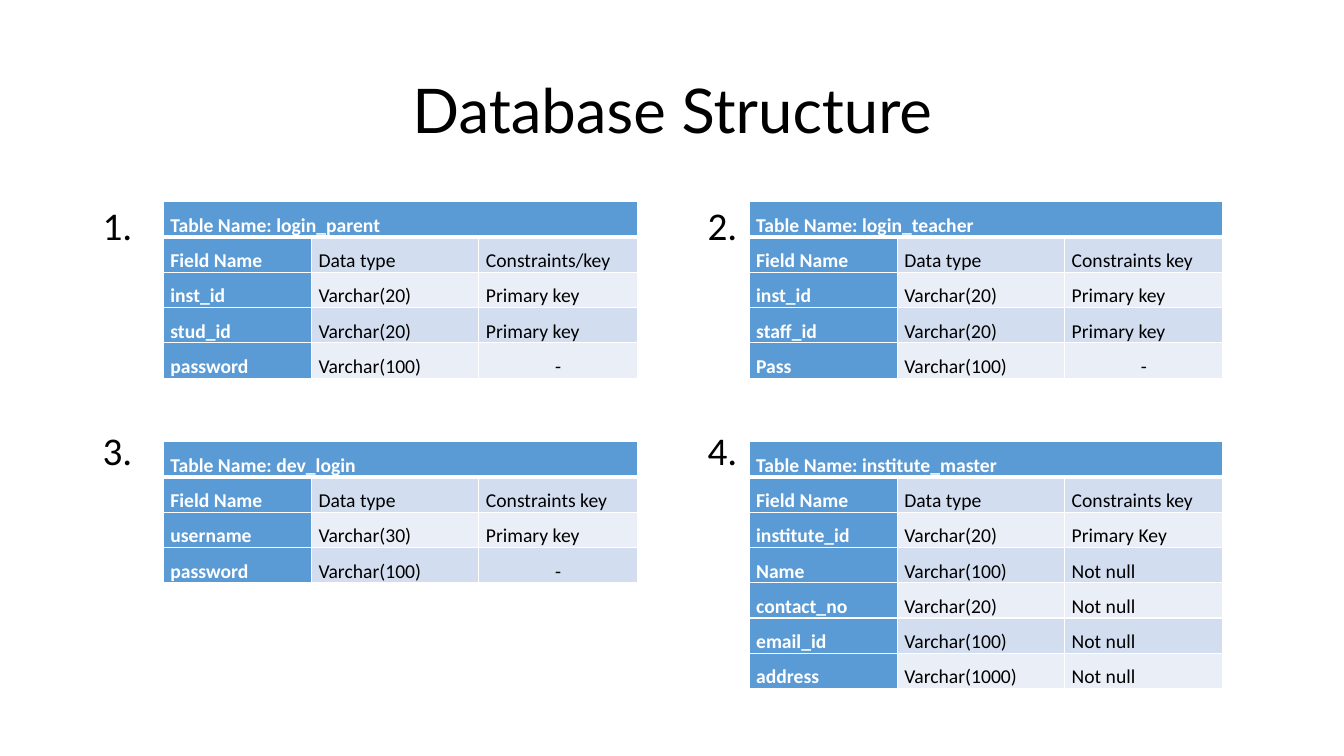
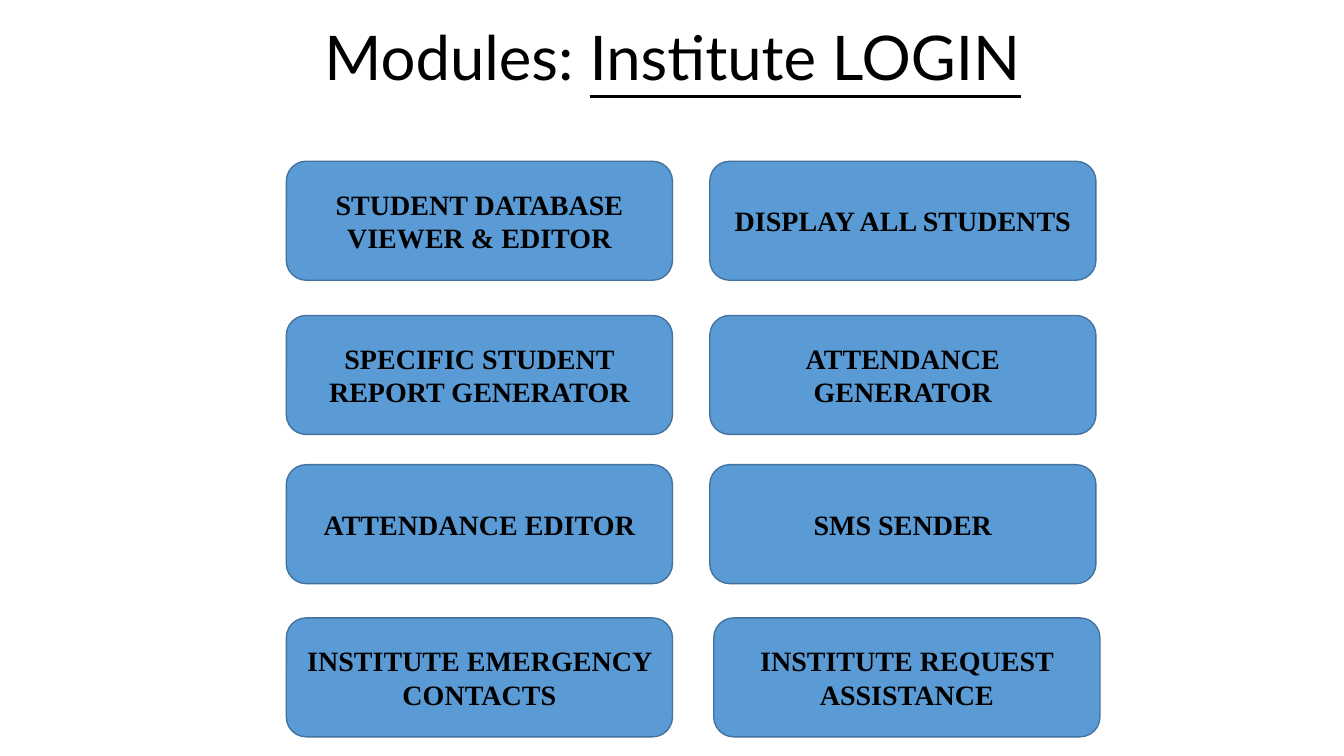
from dataclasses import dataclass

import lxml.etree
import pptx
import pptx.dml.color
import pptx.enum.shapes
import pptx.enum.text
import pptx.oxml.ns
import pptx.presentation
import pptx.slide
import pptx.table
import pptx.text.text
import pptx.util

Inches = pptx.util.Inches
Pt = pptx.util.Pt
RGBColor = pptx.dml.color.RGBColor
Align = pptx.enum.text.PP_ALIGN
Anchor = pptx.enum.text.MSO_ANCHOR

BLACK = RGBColor(0x00, 0x00, 0x00)
WHITE = RGBColor(0xFF, 0xFF, 0xFF)
BLUE = RGBColor(0x5B, 0x9B, 0xD5)
DARK_BLUE = RGBColor(0x43, 0x73, 0x9E)
BANDS = (RGBColor(0xEA, 0xEF, 0xF7), RGBColor(0xD2, 0xDE, 0xEF))

TITLE_FONT = "Lato"
BODY_FONT = "Calibri"
MODULE_FONT = "Times New Roman"

MARGIN = 0.92
CONTENT_WIDTH = 11.5
COLUMN_WIDTHS = (1.47, 1.66, 1.57)
ROW_HEIGHT = 0.35
MODULE_SIZE = (3.83, 1.18)


@dataclass(frozen=True)
class DatabaseTable:
    number: str
    number_position: tuple[float, float]
    position: tuple[float, float]
    name: str
    key_heading: str
    fields: tuple[tuple[str, str, str], ...]


@dataclass(frozen=True)
class Module:
    label: str
    left: float
    top: float


DATABASE_TABLES = (
    DatabaseTable("1.", (MARGIN, 2), (1.62, 2), "login_parent", "Constraints/key", (
        ("inst_id", "Varchar(20)", "Primary key"),
        ("stud_id", "Varchar(20)", "Primary key"),
        ("password", "Varchar(100)", "-"),
    )),
    DatabaseTable("2.", (MARGIN + 6, 2), (7.43, 2), "login_teacher", "Constraints key", (
        ("inst_id", "Varchar(20)", "Primary key"),
        ("staff_id", "Varchar(20)", "Primary key"),
        ("Pass", "Varchar(100)", "-"),
    )),
    DatabaseTable("3.", (MARGIN, 4.23), (1.62, 4.38), "dev_login", "Constraints key", (
        ("username", "Varchar(30)", "Primary key"),
        ("password", "Varchar(100)", "-"),
    )),
    DatabaseTable("4.", (MARGIN + 6, 4.23), (7.43, 4.38), "institute_master", "Constraints key", (
        ("institute_id", "Varchar(20)", "Primary Key"),
        ("Name", "Varchar(100)", "Not null"),
        ("contact_no", "Varchar(20)", "Not null"),
        ("email_id", "Varchar(100)", "Not null"),
        ("address", "Varchar(1000)", "Not null"),
    )),
)

MODULES = (
    Module("STUDENT DATABASE VIEWER & EDITOR", 2.84, 1.6),
    Module("DISPLAY ALL STUDENTS", 7.04, 1.6),
    Module("SPECIFIC STUDENT REPORT GENERATOR", 2.84, 3.13),
    Module("ATTENDANCE GENERATOR", 7.04, 3.13),
    Module("ATTENDANCE EDITOR", 2.84, 4.61),
    Module("SMS SENDER", 7.04, 4.61),
    Module("INSTITUTE EMERGENCY CONTACTS", 2.84, 6.13),
    Module("INSTITUTE REQUEST ASSISTANCE", 7.08, 6.13),
)


def style_paragraph(
    paragraph: pptx.text.text._Paragraph,
    font_name: str,
    size: float,
    color: RGBColor = BLACK,
    bold: bool = False,
    alignment: Align = Align.LEFT,
    line_spacing: float = 1.0,
) -> None:
    paragraph.alignment = alignment
    paragraph.line_spacing = line_spacing
    font = paragraph.font
    font.name = font_name
    font.size = Pt(size)
    font.bold = bold
    font.color.rgb = color


def add_blank_slide(presentation: pptx.presentation.Presentation) -> pptx.slide.Slide:
    return presentation.slides.add_slide(presentation.slide_layouts[6])


def add_text_box(
    slide: pptx.slide.Slide, left: float, top: float, width: float, height: float
) -> pptx.text.text.TextFrame:
    box = slide.shapes.add_textbox(Inches(left), Inches(top), Inches(width), Inches(height))
    box.text_frame.word_wrap = True
    return box.text_frame


def add_title(
    slide: pptx.slide.Slide, top: float, height: float, text: str, underlined: str = ""
) -> None:
    """Add the centred title, with an optional underlined ending."""
    frame = add_text_box(slide, MARGIN, top, CONTENT_WIDTH, height)
    frame.vertical_anchor = Anchor.MIDDLE
    paragraph = frame.paragraphs[0]
    style_paragraph(paragraph, TITLE_FONT, 44, alignment=Align.CENTER, line_spacing=0.9)
    paragraph.add_run().text = text
    if underlined:
        run = paragraph.add_run()
        run.text = underlined
        run.font.underline = True


def set_borders(cell: pptx.table._Cell, top: float, bottom: float) -> None:
    """Draw white borders, 1 point wide at the sides."""
    properties = cell._tc.get_or_add_tcPr()
    for edge, width in (("L", 1), ("R", 1), ("T", top), ("B", bottom)):
        line = lxml.etree.SubElement(
            properties, pptx.oxml.ns.qn(f"a:ln{edge}"), w=str(Pt(width))
        )
        fill = lxml.etree.SubElement(line, pptx.oxml.ns.qn("a:solidFill"))
        lxml.etree.SubElement(fill, pptx.oxml.ns.qn("a:srgbClr"), val=str(WHITE))


def fill_cell(cell: pptx.table._Cell, text: str, row: int, column: int) -> None:
    is_heading = row == 0 or column == 0
    set_borders(cell, top=3 if row == 1 else 1, bottom=3 if row == 0 else 1)
    cell.fill.solid()
    cell.fill.fore_color.rgb = BLUE if is_heading else BANDS[row % 2]
    cell.margin_left = cell.margin_right = Inches(0.07)
    cell.margin_top = cell.margin_bottom = 0
    paragraph = cell.text_frame.paragraphs[0]
    paragraph.text = text
    style_paragraph(
        paragraph, BODY_FONT, 14,
        color=WHITE if is_heading else BLACK,
        bold=is_heading,
        alignment=Align.CENTER if text == "-" else Align.JUSTIFY,
        line_spacing=1.5,
    )


def add_database_table(slide: pptx.slide.Slide, database_table: DatabaseTable) -> None:
    number = add_text_box(slide, *database_table.number_position, 0.7, 0.53).paragraphs[0]
    number.text = database_table.number
    style_paragraph(number, BODY_FONT, 28, line_spacing=0.9)

    rows = (
        (f"Table Name: {database_table.name}", "", ""),
        ("Field Name", "Data type", database_table.key_heading),
        *database_table.fields,
    )
    left, top = database_table.position
    table = slide.shapes.add_table(
        len(rows), len(COLUMN_WIDTHS), Inches(left), Inches(top),
        Inches(sum(COLUMN_WIDTHS)), Inches(ROW_HEIGHT * len(rows)),
    ).table
    table.first_col = True
    for column, width in zip(table.columns, COLUMN_WIDTHS):
        column.width = Inches(width)
    for row_index, row in enumerate(rows):
        for column_index, text in enumerate(row):
            fill_cell(table.cell(row_index, column_index), text, row_index, column_index)
    table.cell(0, 0).merge(table.cell(0, len(COLUMN_WIDTHS) - 1))


def add_module(slide: pptx.slide.Slide, module: Module) -> None:
    width, height = MODULE_SIZE
    shape = slide.shapes.add_shape(
        pptx.enum.shapes.MSO_SHAPE.ROUNDED_RECTANGLE,
        Inches(module.left), Inches(module.top), Inches(width), Inches(height),
    )
    shape.shadow.inherit = False
    shape.fill.solid()
    shape.fill.fore_color.rgb = BLUE
    shape.line.color.rgb = DARK_BLUE
    shape.line.width = Pt(1)
    frame = shape.text_frame
    frame.word_wrap = True
    frame.vertical_anchor = Anchor.MIDDLE
    paragraph = frame.paragraphs[0]
    paragraph.text = module.label
    style_paragraph(paragraph, MODULE_FONT, 20, bold=True, alignment=Align.CENTER)


def add_database_slide(presentation: pptx.presentation.Presentation) -> None:
    slide = add_blank_slide(presentation)
    add_title(slide, 0.4, 1.45, "Database Structure")
    for database_table in DATABASE_TABLES:
        add_database_table(slide, database_table)


def add_modules_slide(presentation: pptx.presentation.Presentation) -> None:
    slide = add_blank_slide(presentation)
    add_title(slide, 0, 1.21, "Modules: ", underlined="Institute LOGIN")
    for module in MODULES:
        add_module(slide, module)


def main() -> None:
    presentation = pptx.Presentation()
    presentation.slide_width = Inches(13.33)
    presentation.slide_height = Inches(7.5)
    add_database_slide(presentation)
    add_modules_slide(presentation)
    presentation.save("out.pptx")


if __name__ == "__main__":
    main()
